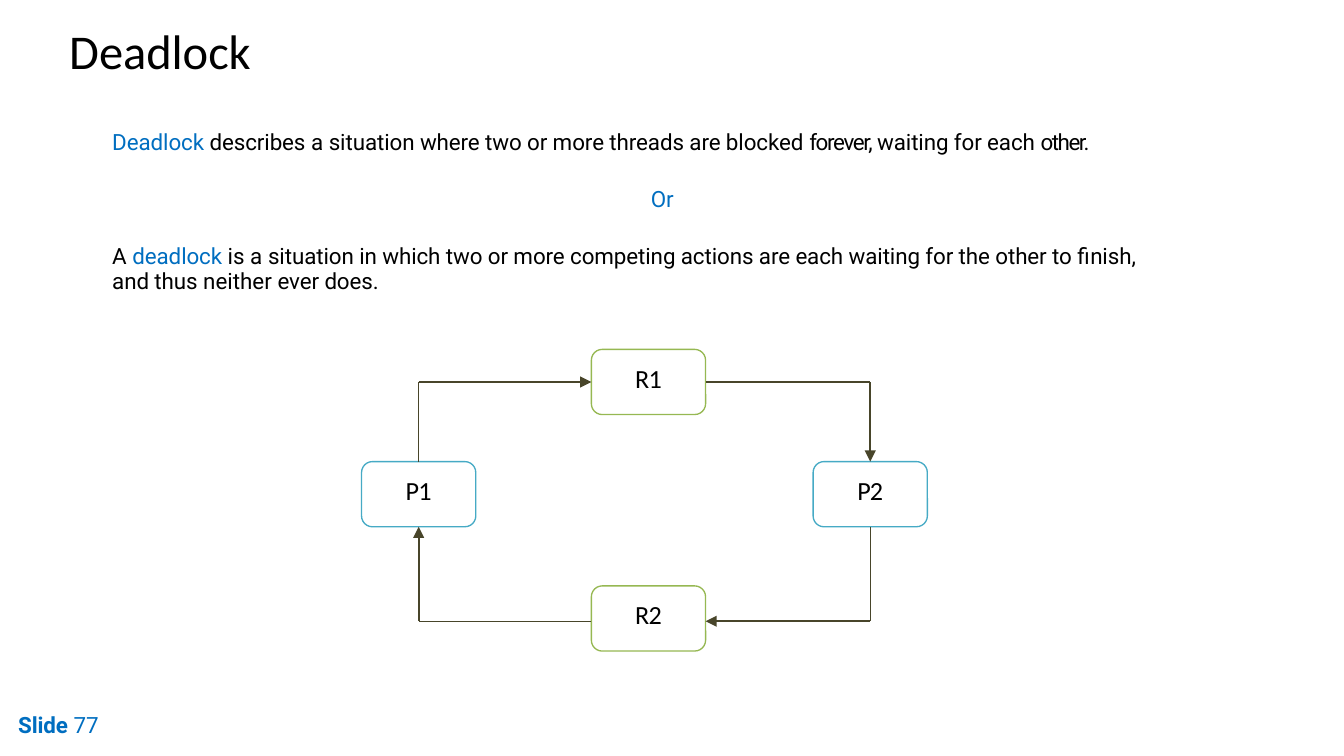
"""Build the slide that explains deadlock with a cycle of processes and resources."""
from lxml.etree import SubElement
from pptx import Presentation
from pptx.dml.color import RGBColor
from pptx.enum.shapes import MSO_CONNECTOR, MSO_SHAPE
from pptx.enum.text import MSO_ANCHOR, PP_ALIGN
from pptx.oxml.ns import qn
from pptx.util import Pt

PX = 4572
COLORS = {"text": "000000", "accent": "006EC0", "resource": "96B852",
          "process": "46AAC5", "arrow": "48452A"}

TITLE = [{"runs": [("Deadlock", "text", -0.05)]}]
BODY = [
    {"runs": [("Deadlock ", "accent", -0.05), ("describes ", "text", -0.05),
              ("a ", "text", 0),
              ("situation where two or more threads are blocked ", "text", -0.05),
              ("forever, ", "text", -0.7), ("waiting for each ", "text", -0.05),
              ("other.", "text", -0.8)]},
    {"runs": [("Or", "accent", 0)], "before": 15.8, "indent": 102,
     "align": PP_ALIGN.CENTER},
    {"runs": [("A ", "text", 0), ("deadlock ", "accent", -0.05), ("is a ", "text", 0),
              ("situation in which two or more competing actions are each waiting "
               "for the other to finish, and thus ", "text", -0.05),
              ("neither ", "text", 0), ("ever does.", "text", -0.05)],
     "before": 16.6, "line": 13.9},
]
FOOTER = [{"runs": [("Slide ", "accent", -0.05, True), ("77", "accent", 0)]}]
TEXT_BOXES = [
    ((100, 28, 276, 92), "Calibri", 26, TITLE),
    ((164, 188, 1538, 250), "Roboto", 12, BODY),
    ((24, 1056, 138, 46), "Roboto", 12, FOOTER),
]

NODE_WIDTH, NODE_HEIGHT = 170, 97
NODES = {
    "R1": ("resource", 880, 520, -0.3),
    "P1": ("process", 538, 687, -0.5),
    "P2": ("process", 1210, 687, -0.5),
    "R2": ("resource", 880, 872, -0.3),
}
TOP, LEFT, BOTTOM, RIGHT = range(4)
LINKS = [("P1", TOP, "R1", LEFT), ("R1", RIGHT, "P2", TOP),
         ("P2", BOTTOM, "R2", RIGHT), ("R2", LEFT, "P1", BOTTOM)]
PORT_DROP = {"R2": 4}
THIN, THICK = 0.72, 1.1


def color(name):
    return RGBColor.from_string(COLORS[name])


def add_run(paragraph, font_name, size, text, color_name, spacing, bold=False):
    run = paragraph.add_run()
    run.text = text
    run.font.name = font_name
    run.font.size = Pt(size)
    run.font.bold = bold
    run.font.color.rgb = color(color_name)
    run._r.get_or_add_rPr().set("spc", str(round(spacing * 100)))


def set_insets(frame, left=0, top=0, bottom=0):
    frame.margin_left, frame.margin_right = left * PX, 0
    frame.margin_top, frame.margin_bottom = top * PX, bottom * PX


def add_text(slide, box, font_name, size, paragraphs):
    frame = slide.shapes.add_textbox(*(value * PX for value in box)).text_frame
    frame.word_wrap = True
    set_insets(frame, left=3, top=3)
    for index, content in enumerate(paragraphs):
        paragraph = frame.add_paragraph() if index else frame.paragraphs[0]
        paragraph.alignment = content.get("align", PP_ALIGN.LEFT)
        if "indent" in content:
            paragraph._p.get_or_add_pPr().set("marL", str(content["indent"] * PX))
        if "before" in content:
            paragraph.space_before = Pt(content["before"])
        if "line" in content:
            paragraph.line_spacing = Pt(content["line"])
        for run in content["runs"]:
            add_run(paragraph, font_name, size, *run)


def add_node(slide, label, kind, left, top, spacing):
    shape = slide.shapes.add_shape(MSO_SHAPE.ROUNDED_RECTANGLE, left * PX, top * PX,
                                   NODE_WIDTH * PX, NODE_HEIGHT * PX)
    shape.shadow.inherit = False
    shape.fill.background()
    shape.line.color.rgb = color(kind)
    shape.line.width = Pt(THIN)
    frame = shape.text_frame
    frame.vertical_anchor = MSO_ANCHOR.MIDDLE
    set_insets(frame, bottom=13)
    paragraph = frame.paragraphs[0]
    paragraph.alignment = PP_ALIGN.CENTER
    add_run(paragraph, "Calibri", 14, label, "text", spacing)
    return shape


def port(shape, side, drop):
    middle_x = shape.left + shape.width // 2
    middle_y = shape.top + shape.height // 2 + drop * PX
    return {TOP: (middle_x, shape.top), BOTTOM: (middle_x, shape.top + shape.height),
            LEFT: (shape.left, middle_y),
            RIGHT: (shape.left + shape.width, middle_y)}[side]


def add_segment(slide, start, end, width):
    connector = slide.shapes.add_connector(MSO_CONNECTOR.STRAIGHT, *start, *end)
    connector.line.color.rgb = color("arrow")
    connector.line.width = Pt(width)
    SubElement(connector._element.spPr, qn("a:effectLst"))
    return connector


def add_link(slide, shapes, source, source_side, target, target_side):
    source_drop, target_drop = PORT_DROP.get(source, 0), PORT_DROP.get(target, 0)
    start = port(shapes[source], source_side, source_drop)
    end = port(shapes[target], target_side, target_drop)
    vertical_first = source_side in (TOP, BOTTOM)
    corner = (start[0], end[1]) if vertical_first else (end[0], start[1])
    first = add_segment(slide, start, corner, THIN)
    second = add_segment(slide, corner, end, THICK)
    SubElement(second.line._get_or_add_ln(), qn("a:tailEnd"), type="triangle")
    if not source_drop:
        first.begin_connect(shapes[source], source_side)
    if not target_drop:
        second.end_connect(shapes[target], target_side)


def main():
    presentation = Presentation()
    presentation.slide_width, presentation.slide_height = 2000 * PX, 1125 * PX
    slide = presentation.slides.add_slide(presentation.slide_layouts[6])
    for text_box in TEXT_BOXES:
        add_text(slide, *text_box)
    shapes = {label: add_node(slide, label, *node) for label, node in NODES.items()}
    for link in LINKS:
        add_link(slide, shapes, *link)
    presentation.save("out.pptx")


if __name__ == "__main__":
    main()
